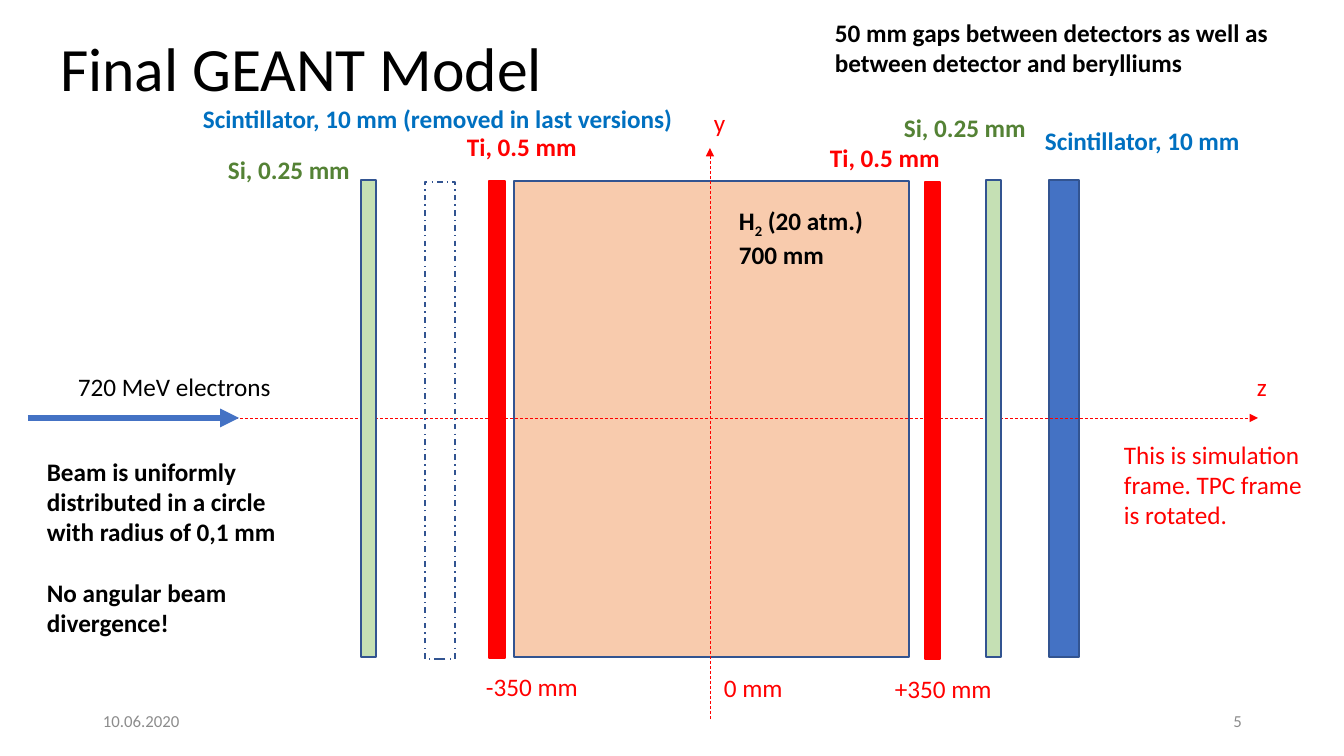
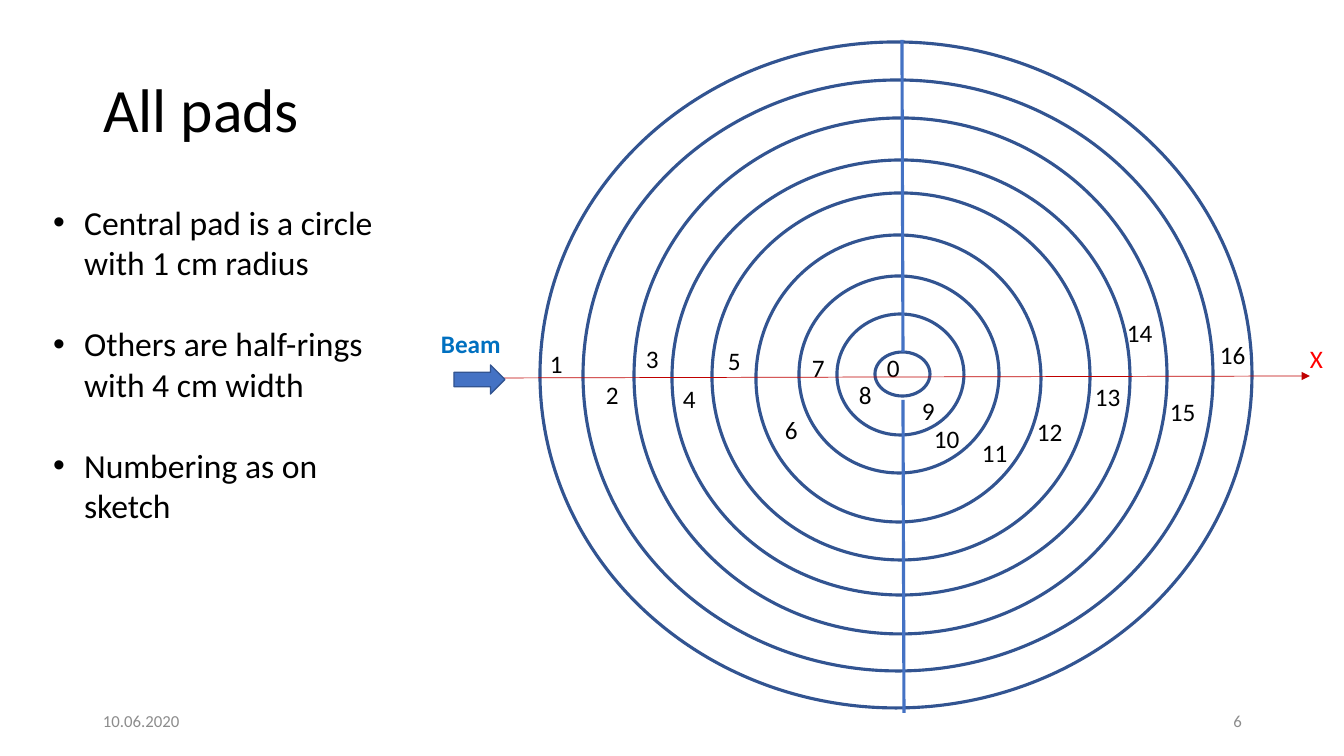
from dataclasses import dataclass

from lxml.etree import SubElement
from pptx import Presentation
from pptx.dml.color import RGBColor
from pptx.enum.dml import MSO_LINE_DASH_STYLE as Dash
from pptx.enum.shapes import MSO_CONNECTOR as Connector, MSO_SHAPE as Preset
from pptx.enum.text import MSO_ANCHOR as Anchor, MSO_AUTO_SIZE as AutoSize, PP_ALIGN as Align
from pptx.oxml.ns import qn
from pptx.util import Emu, Pt


@dataclass(frozen=True)
class Theme:
    font: str = "Calibri"
    black: str = "000000"
    red: str = "FF0000"
    dark_red: str = "C00000"
    blue: str = "4472C4"
    outline: str = "325491"
    sky: str = "0070C0"
    leaf: str = "548235"
    silicon: str = "C5E0B4"
    gas: str = "F8CBAD"
    grey: str = "8C8C8C"
    title_size: int = 44
    list_size: int = 24
    label_size: int = 18
    footer_size: int = 12


@dataclass(frozen=True)
class Box:
    left: int
    top: int
    width: int
    height: int = 40

    def inset(self, left, top, width, height=40):
        return Box(self.left + left, self.top + top, width, height)

    def point(self, x, y):
        return self.left + x, self.top + y

    def emu(self):
        return [px(n) for n in (self.left, self.top, self.width, self.height)]


THEME = Theme()
PIXELS_PER_INCH = 100.8
PAGE = Box(0, 0, 1344, 756)
DATE = "10.06.2020"


def px(pixels):
    return Emu(round(pixels * 914400 / PIXELS_PER_INCH))


def rgb(code):
    return RGBColor.from_string(code)


def style_font(font, size, color, bold=False):
    font.name = THEME.font
    font.size = Pt(size)
    font.bold = bold
    font.color.rgb = rgb(color)


def move(placeholder, box):
    placeholder.left, placeholder.top, placeholder.width, placeholder.height = box.emu()


def label(slide, box, *paragraphs, size=THEME.label_size, color=THEME.black, bold=False,
          align=Align.LEFT, anchor=Anchor.TOP, wrap=True, gap=0):
    frame = slide.shapes.add_textbox(*box.emu()).text_frame
    frame.word_wrap = wrap
    frame.vertical_anchor = anchor
    frame.auto_size = AutoSize.NONE if anchor == Anchor.MIDDLE else AutoSize.SHAPE_TO_FIT_TEXT
    for index, content in enumerate(paragraphs):
        paragraph = frame.paragraphs[0] if index == 0 else frame.add_paragraph()
        paragraph.alignment = align
        paragraph.space_before = Pt(gap if index else 0)
        for position, text in enumerate(content.split("_")):
            run = paragraph.add_run()
            run.text = text
            style_font(run.font, size, color, bold)
            if position == 1:
                run.font._element.set("baseline", "-25000")


def outlined(slide, preset, box, fill=None, line=THEME.outline, weight=1, dash=None):
    shape = slide.shapes.add_shape(preset, *box.emu())
    shape.shadow.inherit = False
    if fill:
        shape.fill.solid()
        shape.fill.fore_color.rgb = rgb(fill)
    else:
        shape.fill.background()
    shape.line.color.rgb = rgb(line)
    shape.line.width = Pt(weight)
    if dash:
        shape.line.dash_style = dash


def stroke(slide, start, end, color, weight, dash=None, arrow=False):
    connector = slide.shapes.add_connector(
        Connector.STRAIGHT, *(px(n) for n in (*start, *end)))
    connector.line.color.rgb = rgb(color)
    connector.line.width = Pt(weight)
    if dash:
        connector.line.dash_style = dash
    properties = connector.element.spPr
    if arrow:
        SubElement(properties.find(qn("a:ln")), qn("a:tailEnd")).set("type", "triangle")
    SubElement(properties, qn("a:effectLst"))


def title(slide, box, text):
    heading = slide.shapes.title
    move(heading, box)
    frame = heading.text_frame
    frame.text = text
    frame.auto_size = AutoSize.NONE
    frame.vertical_anchor = Anchor.MIDDLE
    paragraph = frame.paragraphs[0]
    paragraph.alignment = Align.LEFT
    paragraph.line_spacing = 0.9
    style_font(paragraph.runs[0].font, THEME.title_size, THEME.black)


def footer(slide, box, number):
    style = {"size": THEME.footer_size, "color": THEME.grey, "anchor": Anchor.MIDDLE}
    label(slide, box.inset(0, 0, 302), DATE, **style)
    label(slide, box.inset(box.width - 302, 0, 302), str(number), align=Align.RIGHT, **style)


def bullets(slide, box, items, indent=31):
    body = slide.placeholders[1]
    move(body, box)
    frame = body.text_frame
    frame.auto_size = AutoSize.NONE
    frame.text = "\n".join(items)
    for paragraph in frame.paragraphs:
        paragraph.space_before = Pt(0)
        paragraph.space_after = Pt(29)
        paragraph.line_spacing = 1.0
        style_font(paragraph.runs[0].font, THEME.list_size, THEME.black)
        properties = paragraph._p.get_or_add_pPr()
        properties.set("marL", str(px(indent)))
        properties.set("indent", str(-px(indent)))


def detector(slide, box):
    def layer(left, top, width, fill, line=THEME.outline, dash=None, height=box.height):
        outlined(slide, Preset.RECTANGLE, box.inset(left, top, width, height),
                 fill, line, dash=dash)

    layer(688, 0, 30, THEME.blue)
    layer(153, 1, 395, THEME.gas, height=476)
    for start, end in (((-331, 238), (897, 238)), ((349, 539), (349, -32))):
        stroke(slide, box.point(*start), box.point(*end), THEME.red, 0.5, Dash.DASH, arrow=True)
    layer(64, 2, 30, None, dash=Dash.DASH_DOT)
    for left in (0, 625):
        layer(left, 0, 15, THEME.silicon)
    layer(128, 1, 16, THEME.red, THEME.red)
    layer(564, 2, 15, THEME.red, THEME.red)

    materials = (
        ("Scintillator, 10 mm (removed in last versions)", THEME.sky, -168, -82, 527),
        ("Scintillator, 10 mm", THEME.sky, 674, -60, 229),
        ("Si, 0.25 mm", THEME.leaf, -143, -31, 162),
        ("Si, 0.25 mm", THEME.leaf, 533, -73, 162),
        ("Ti, 0.5 mm", THEME.red, 96, -54, 138),
        ("Ti, 0.5 mm", THEME.red, 459, -43, 138),
    )
    for text, color, left, top, width in materials:
        label(slide, box.inset(left, top, width), text, color=color, bold=True)
    label(slide, box.inset(368, 20, 177, 72), "H_2_ (20 atm.)", "700 mm", bold=True)

    scale_marks = (
        ("-350 mm", 115, 486, 155), ("0 mm", 353, 487, 82), ("+350 mm", 524, 488, 155),
        ("y", 343, -78, 32), ("z", 886, 186, 30),
    )
    for text, left, top, width in scale_marks:
        label(slide, box.inset(left, top, width), text, color=THEME.red, wrap=len(text) > 1)


def electron_beam(slide, box):
    stroke(slide, box.point(0, 52), box.point(211, 52), THEME.blue, 4.5, arrow=True)
    label(slide, box.inset(40, 0, 217), "720 MeV electrons")
    label(slide, box.inset(9, 85, 261, 194),
          "Beam is uniformly distributed in a circle with radius of 0,1 mm",
          "No angular beam divergence!", bold=True, gap=22)


def pad_sketch(slide, box):
    rings = (
        (0, 0, box.width, box.height), (43, 38, 630, 591), (94, 76, 533, 516),
        (132, 118, 458, 435), (172, 151, 378, 367), (216, 193, 285, 287),
        (259, 234, 200, 197), (297, 272, 127, 121), (335, 310, 55, 44),
    )
    for ring in rings:
        outlined(slide, Preset.OVAL, box.inset(*ring), weight=2.25)
    for start, end in (((363, 310), (362, -2)), ((364, 671), (363, 358))):
        stroke(slide, box.point(*start), box.point(*end), THEME.blue, 2.25)

    pad_places = (
        (337, 305), (0, 301), (56, 332), (96, 296), (133, 336), (178, 298),
        (235, 367), (262, 305), (309, 332), (372, 348), (384, 376), (432, 390),
        (487, 369), (545, 334), (577, 270), (620, 349), (670, 292),
    )
    for pad, place in enumerate(pad_places):
        label(slide, box.inset(*place, 33 if pad < 10 else 46), str(pad), wrap=False)

    stroke(slide, box.point(-60, 336), box.point(770, 334), THEME.dark_red, 0.5, arrow=True)
    label(slide, box.inset(760, 296, 33), "X", color=THEME.red, wrap=False)
    outlined(slide, Preset.RIGHT_ARROW, box.inset(-86, 323, 51, 29), THEME.blue)
    label(slide, box.inset(-109, 281, 81), "Beam", color=THEME.sky, bold=True, wrap=False)


def model_slide(deck, box, number):
    slide = deck.slides.add_slide(deck.slide_layouts[5])
    title(slide, box.inset(50, 19, 1159, 105), "Final GEANT Model")
    detector(slide, box.inset(361, 180, 718, 477))
    electron_beam(slide, box.inset(28, 366, 270, 279))
    label(slide, box.inset(1114, 434, 202, 102),
          "This is simulation frame. TPC frame is rotated.", color=THEME.red)
    label(slide, box.inset(825, 12, 519, 72),
          "50 mm gaps between detectors as well as between detector and berylliums", bold=True)
    footer(slide, box.inset(93, 701, 1159), number)


def pads_slide(deck, box, number):
    slide = deck.slides.add_slide(deck.slide_layouts[1])
    title(slide, box.inset(93, 40, 1159, 146), "All pads")
    bullets(slide, box.inset(43, 197, 350, 336), (
        "Central pad is a circle with 1 cm radius",
        "Others are half-rings with 4 cm width",
        "Numbering as on sketch",
    ))
    pad_sketch(slide, box.inset(540, 42, 712, 666))
    footer(slide, box.inset(93, 701, 1159), number)


def main():
    deck = Presentation()
    deck.slide_width, deck.slide_height = px(PAGE.width), px(PAGE.height)
    for number, build in enumerate((model_slide, pads_slide), start=5):
        build(deck, PAGE, number)
    deck.save("out.pptx")


main()
